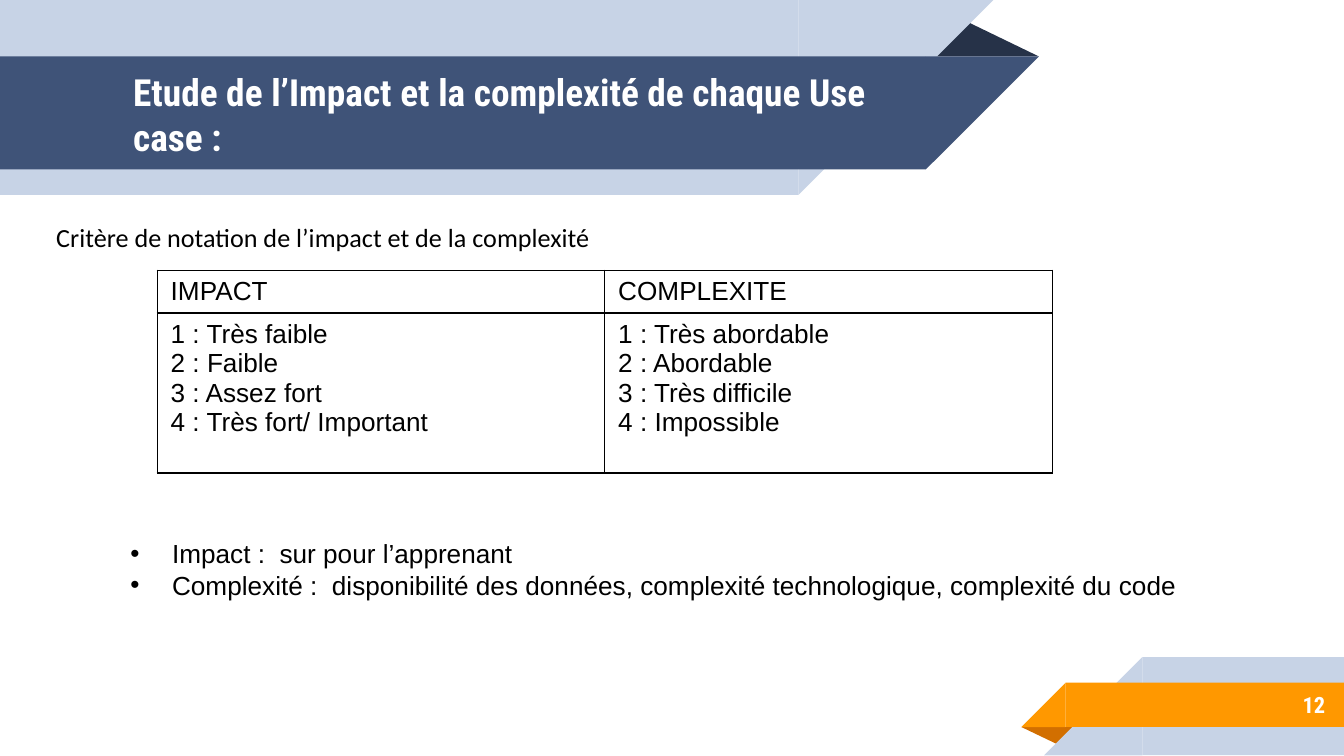
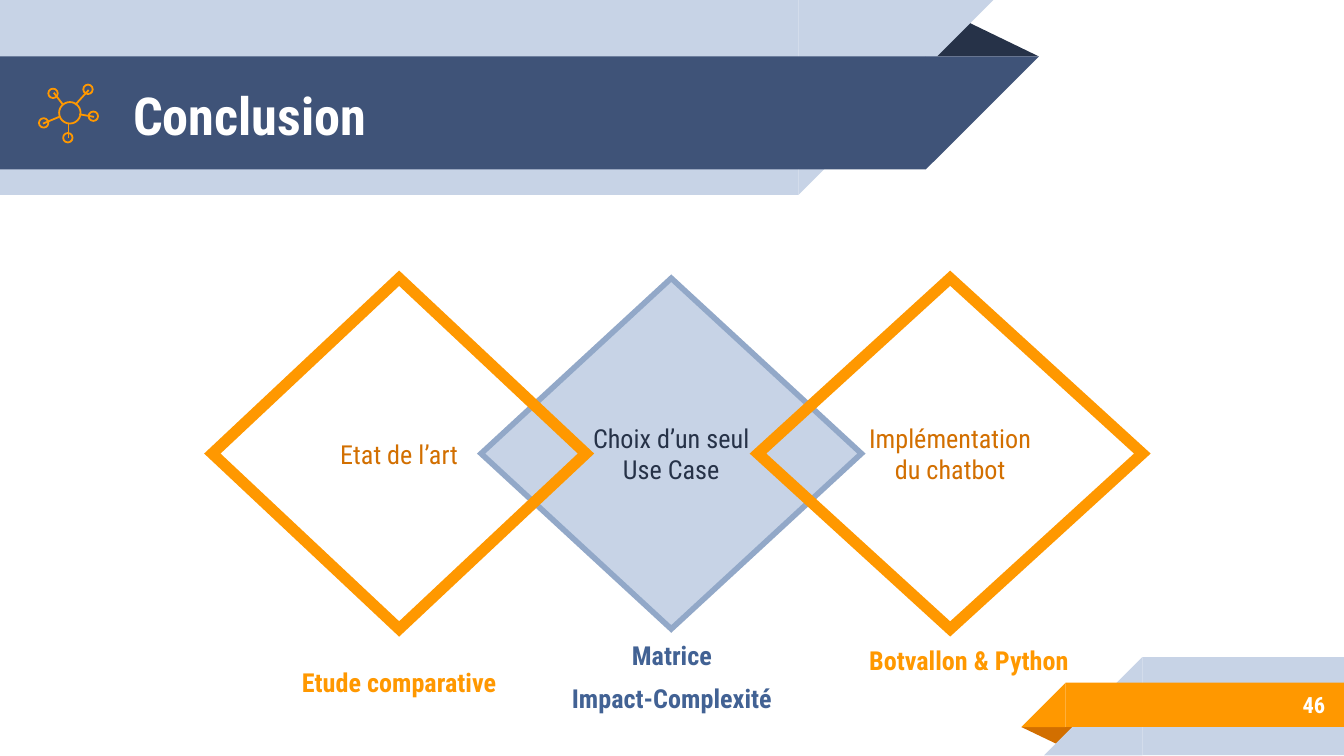
import pptx
import pptx.util
import pptx.dml.color
import pptx.enum.shapes
import pptx.enum.text
import pptx.oxml.ns
import lxml.etree

px = 9144
qn = pptx.oxml.ns.qn
kind = pptx.enum.shapes.MSO_SHAPE
line = pptx.enum.shapes.MSO_CONNECTOR.STRAIGHT
side = pptx.enum.text.PP_ALIGN
mid = pptx.enum.text.MSO_ANCHOR.MIDDLE

pale, navy, dark = "C7D3E6", "3F5378", "263248"
gold, rust, blue, edge = "FF9800", "D26F00", "426294", "92A8C8"
white, black = "FFFFFF", "000000"
face = "Roboto Condensed"


def color(code):
    return pptx.dml.color.RGBColor.from_string(code)


def text(frame, lines, size=14, font=face, ink=black, bold=False, align=side.LEFT,
         pad=None, anchor=None, wrap=True, gap=0, mark=None):
    frame.word_wrap = wrap
    frame.auto_size = pptx.enum.text.MSO_AUTO_SIZE.NONE
    if anchor is not None:
        frame.vertical_anchor = anchor
    if pad is not None:
        frame.margin_left = frame.margin_right = pad * px
        frame.margin_top = frame.margin_bottom = pad * px
    for i, words in enumerate(lines):
        para = frame.paragraphs[0] if i == 0 else frame.add_paragraph()
        para.alignment = align
        para.space_before = pptx.util.Pt(gap if i else 0)
        if mark:
            prop = para._p.get_or_add_pPr()
            prop.set("marL", str(31 * px))
            prop.set("indent", str(-31 * px))
            tint = lxml.etree.SubElement(prop, qn("a:buClr"))
            lxml.etree.SubElement(tint, qn("a:srgbClr"), val=ink)
            lxml.etree.SubElement(prop, qn("a:buFont"), typeface="Arial")
            lxml.etree.SubElement(prop, qn("a:buChar"), char=mark)
        for j, part in enumerate(words.split("\n")):
            if j:
                para.add_line_break()
            run = para.add_run()
            run.text = part
            run.font.size = pptx.util.Pt(size)
            run.font.name = font
            run.font.bold = bold
            run.font.color.rgb = color(ink)
        for stop in para._p.findall(qn("a:br")):
            lxml.etree.SubElement(stop, qn("a:rPr"), sz=str(size * 100))


deck = pptx.Presentation()
deck.slide_width = 1000 * px
deck.slide_height = 1125 * px // 2

study = deck.slides.add_slide(deck.slide_layouts[1])
close = deck.slides.add_slide(deck.slide_layouts[5])

bands = [
    (kind.ISOSCELES_TRIANGLE, 688, 14, 85, 28, dark, 0, False),
    (kind.RECTANGLE, 0, 0, 594, 145, pale, 0, False),
    (kind.RIGHT_TRIANGLE, 594, 0, 145, 145, pale, 180, True),
    (kind.RECTANGLE, 0, 42, 689, 84, navy, 0, False),
    (kind.RIGHT_TRIANGLE, 689, 42, 84, 84, navy, 180, True),
    (kind.ISOSCELES_TRIANGLE, 760, 541, 43, 14, rust, 180, False),
    (kind.RECTANGLE, 850, 489, 150, 73, pale, 0, False),
    (kind.RIGHT_TRIANGLE, 777, 489, 73, 73, pale, 0, True),
    (kind.RECTANGLE, 793, 508, 207, 33, gold, 0, False),
    (kind.RIGHT_TRIANGLE, 760, 508, 33, 33, gold, 0, True),
]
for form, x, y, w, h, fill, turn, flip in bands:
    band = study.shapes.add_shape(form, x * px, y * px, w * px, h * px)
    band.shadow.inherit = False
    band.fill.solid()
    band.fill.fore_color.rgb = color(fill)
    band.line.fill.background()
    band.rotation = turn
    if flip:
        band.element.spPr.find(qn("a:xfrm")).set("flipH", "1")
    if form == kind.ISOSCELES_TRIANGLE:
        band.adjustments[0] = 0.32
    deck.slide_master.shapes.element.append(band.element)

heads = [
    (study, "Etude de l’Impact et la complexité de chaque Use case :", 20, "12"),
    (close, "Conclusion", 28, "46"),
]
for slide, words, size, num in heads:
    head = slide.shapes.title
    head.left, head.top, head.width, head.height = 89 * px, 43 * px, 575 * px, 84 * px
    text(head.text_frame, [words], size=size, ink=white, bold=True, pad=10, anchor=mid)
    foot = slide.shapes.add_textbox(833 * px, 507 * px, 163 * px, 35 * px)
    text(foot.text_frame, [num], size=12, ink=white, bold=True, align=side.RIGHT,
         pad=10, anchor=mid)

note = study.shapes.add_textbox(32 * px, 160 * px, 428 * px, 57 * px)
text(note.text_frame, ["Critère de notation de l’impact et de la complexité"],
     font="Calibri", wrap=False)

rows = [
    [["IMPACT"], ["COMPLEXITE"]],
    [["1 : Très faible\n2 : Faible\n3 : Assez fort\n4 : Très fort/ Important"],
     ["1 : Très abordable", "2 : Abordable\n3 : Très difficile\n4 : Impossible"]],
]
grid = study.shapes.add_table(2, 2, 117 * px, 201 * px, 666 * px, 151 * px).table
grid.first_row = grid.horz_banding = False
grid.rows[0].height, grid.rows[1].height = 32 * px, 119 * px
for r, row in enumerate(rows):
    for c, lines in enumerate(row):
        cell = grid.cell(r, c)
        text(cell.text_frame, lines, font="Arial")
        prop = cell._tc.get_or_add_tcPr()
        for tag in ("a:lnL", "a:lnR", "a:lnT", "a:lnB"):
            rule = lxml.etree.SubElement(prop, qn(tag), w=str(pptx.util.Pt(0.75)))
            fill = lxml.etree.SubElement(rule, qn("a:solidFill"))
            lxml.etree.SubElement(fill, qn("a:srgbClr"), val=black)
        cell.fill.background()

body = study.placeholders[1]
body.left, body.top, body.width, body.height = 87 * px, 395 * px, 822 * px, 104 * px
text(body.text_frame,
     ["Impact :  sur pour l’apprenant",
      "Complexité :  disponibilité des données, complexité technologique, complexité du code"],
     font="Arial", wrap=False, mark="•")

gems = [
    (358, 283, "Choix d’un seul Use Case", dark, pale, edge, 3),
    (158, 278, "Etat de l’art", rust, None, gold, 6),
    (564, 286, "Implémentation du chatbot", rust, None, gold, 6),
]
for x, w, words, ink, fill, rim, thick in gems:
    gem = close.shapes.add_shape(kind.DIAMOND, x * px, 207 * px, w * px, 261 * px)
    gem.shadow.inherit = False
    if fill:
        gem.fill.solid()
        gem.fill.fore_color.rgb = color(fill)
    else:
        gem.fill.background()
    gem.line.color.rgb = color(rim)
    gem.line.width = pptx.util.Pt(thick)
    lxml.etree.SubElement(gem.element.spPr.find(qn("a:ln")), qn("a:miter"), lim="800000")
    text(gem.text_frame, [words], ink=ink, align=side.CENTER, pad=10, anchor=mid)

icon = close.shapes.add_group_shape()
rings = [(62, 63, 7), (36, 66, 7), (29, 88, 7), (47, 99, 7), (66, 83, 7), (44, 76, 16)]
for x, y, d in rings:
    ring = icon.shapes.add_shape(kind.OVAL, x * px, y * px, d * px, d * px)
    ring.shadow.inherit = False
    ring.fill.background()
    ring.line.color.rgb = color(gold)
    ring.line.width = pptx.util.Pt(0.96)
spokes = [(40, 69, 47, 78), (56, 78, 66, 67), (70, 87, 59, 85),
          (51, 103, 51, 92), (32, 92, 44, 87)]
for ends in spokes:
    spoke = icon.shapes.add_connector(line, *[n * px for n in ends])
    spoke.line.color.rgb = color(gold)
    spoke.line.width = pptx.util.Pt(0.96)
    lxml.etree.SubElement(spoke.element.spPr, qn("a:effectLst"))

tags = [
    (617, 456, 208, ["Botvallon & Python"], gold, mid),
    (193, 472, 208, ["Etude comparative"], gold, mid),
    (411, 466, 178, ["Matrice", "Impact-Complexité"], blue, None),
]
for x, y, w, lines, ink, anchor in tags:
    tag = close.shapes.add_textbox(x * px, y * px, w * px, 71 * px)
    text(tag.text_frame, lines, ink=ink, bold=True, align=side.CENTER, pad=10,
         anchor=anchor, gap=6)

deck.save("out.pptx")
